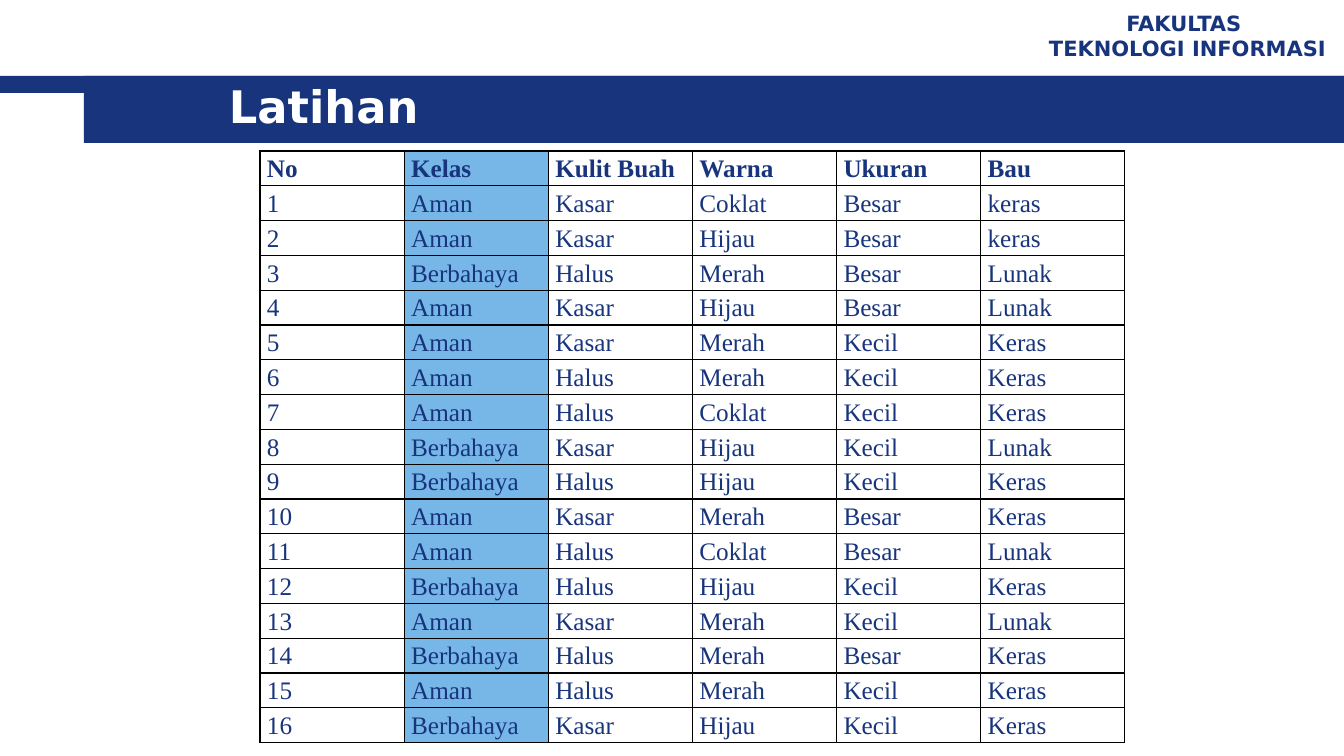
from lxml.etree import SubElement
from pptx import Presentation
from pptx.dml.color import RGBColor
from pptx.enum.shapes import MSO_SHAPE as Shape
from pptx.enum.text import MSO_ANCHOR as Anchor, PP_ALIGN as Align
from pptx.oxml.ns import qn
from pptx.util import Pt

COLORS = {"navy": "17347D", "sky": "77B7E7", "white": "FFFFFF", "black": "000000"}
FACULTY = ["FAKULTAS ", "TEKNOLOGI INFORMASI"]
TITLE = "Latihan"
HEADER = ("No", "Kelas", "Kulit Buah", "Warna", "Ukuran", "Bau")
FRUITS = [
    ("Aman", "Kasar", "Coklat", "Besar", "keras"),
    ("Aman", "Kasar", "Hijau", "Besar", "keras"),
    ("Berbahaya", "Halus", "Merah", "Besar", "Lunak"),
    ("Aman", "Kasar", "Hijau", "Besar", "Lunak"),
    ("Aman", "Kasar", "Merah", "Kecil", "Keras"),
    ("Aman", "Halus", "Merah", "Kecil", "Keras"),
    ("Aman", "Halus", "Coklat", "Kecil", "Keras"),
    ("Berbahaya", "Kasar", "Hijau", "Kecil", "Lunak"),
    ("Berbahaya", "Halus", "Hijau", "Kecil", "Keras"),
    ("Aman", "Kasar", "Merah", "Besar", "Keras"),
    ("Aman", "Halus", "Coklat", "Besar", "Lunak"),
    ("Berbahaya", "Halus", "Hijau", "Kecil", "Keras"),
    ("Aman", "Kasar", "Merah", "Kecil", "Lunak"),
    ("Berbahaya", "Halus", "Merah", "Besar", "Keras"),
    ("Aman", "Halus", "Merah", "Kecil", "Keras"),
    ("Berbahaya", "Kasar", "Hijau", "Kecil", "Keras"),
]
BANDS = [(0, 76, 1344, 17), (84, 76, 1260, 67)]
FACULTY_AREA = (1031, 5, 313, 62)
TITLE_AREA = (219, 85, 907, 41)
TABLE_AREA = (260, 151, 865, 591)
CLASS_COLUMN = 1


def px(length):
    return round(length * 914400 / 100.8)


def rgb(name):
    return RGBColor.from_string(COLORS[name])


def write(frame, lines, size, color, font="DejaVu Sans", bold=True,
          align=Align.LEFT, spacing=None):
    for index, line in enumerate(lines):
        para = frame.add_paragraph() if index else frame.paragraphs[0]
        para.alignment = align
        para.line_spacing = spacing
        span = para.add_run()
        span.text = line
        span.font.size = Pt(size)
        span.font.name = font
        span.font.bold = bold
        span.font.color.rgb = rgb(color)


def add_band(page, area):
    band = page.shapes.add_shape(Shape.RECTANGLE, *map(px, area))
    band.shadow.inherit = False
    band.fill.solid()
    band.fill.fore_color.rgb = rgb("navy")
    band.line.fill.background()


def add_text(page, area, lines, **style):
    frame = page.shapes.add_textbox(*map(px, area)).text_frame
    frame.word_wrap = True
    frame.vertical_anchor = Anchor.MIDDLE
    write(frame, lines, **style)


def add_borders(cell):
    properties = cell._tc.get_or_add_tcPr()
    for place, side in enumerate(("lnL", "lnR", "lnT", "lnB")):
        border = SubElement(properties, qn("a:" + side), w=str(Pt(1)))
        properties.insert(place, border)
        fill = SubElement(border, qn("a:solidFill"))
        SubElement(fill, qn("a:srgbClr"), val=COLORS["black"])


def add_fruit_table(page):
    rows = [HEADER] + [(str(number), *fruit) for number, fruit in enumerate(FRUITS, 1)]
    left, top, width, height = TABLE_AREA
    table = page.shapes.add_table(len(rows), len(HEADER), *map(px, TABLE_AREA)).table
    table.horz_banding = False
    for column in table.columns:
        column.width = px(width / len(HEADER))
    for row_index, row in enumerate(rows):
        table.rows[row_index].height = px(height / len(rows))
        for column_index, value in enumerate(row):
            cell = table.cell(row_index, column_index)
            cell.margin_left = cell.margin_right = px(7)
            cell.margin_top = cell.margin_bottom = 0
            if column_index == CLASS_COLUMN:
                cell.fill.solid()
                cell.fill.fore_color.rgb = rgb("sky")
            else:
                cell.fill.background()
            add_borders(cell)
            write(cell.text_frame, [value], size=18, color="navy",
                  font="Times New Roman", bold=row_index == 0, spacing=1.15)


def main():
    deck = Presentation()
    deck.slide_width, deck.slide_height = px(1344), px(756)
    page = deck.slides.add_slide(deck.slide_layouts[6])
    for band in BANDS:
        add_band(page, band)
    add_text(page, FACULTY_AREA, FACULTY, size=15, color="navy", align=Align.CENTER)
    add_text(page, TITLE_AREA, [TITLE], size=32, color="white")
    add_fruit_table(page)
    deck.save("out.pptx")


if __name__ == "__main__":
    main()
